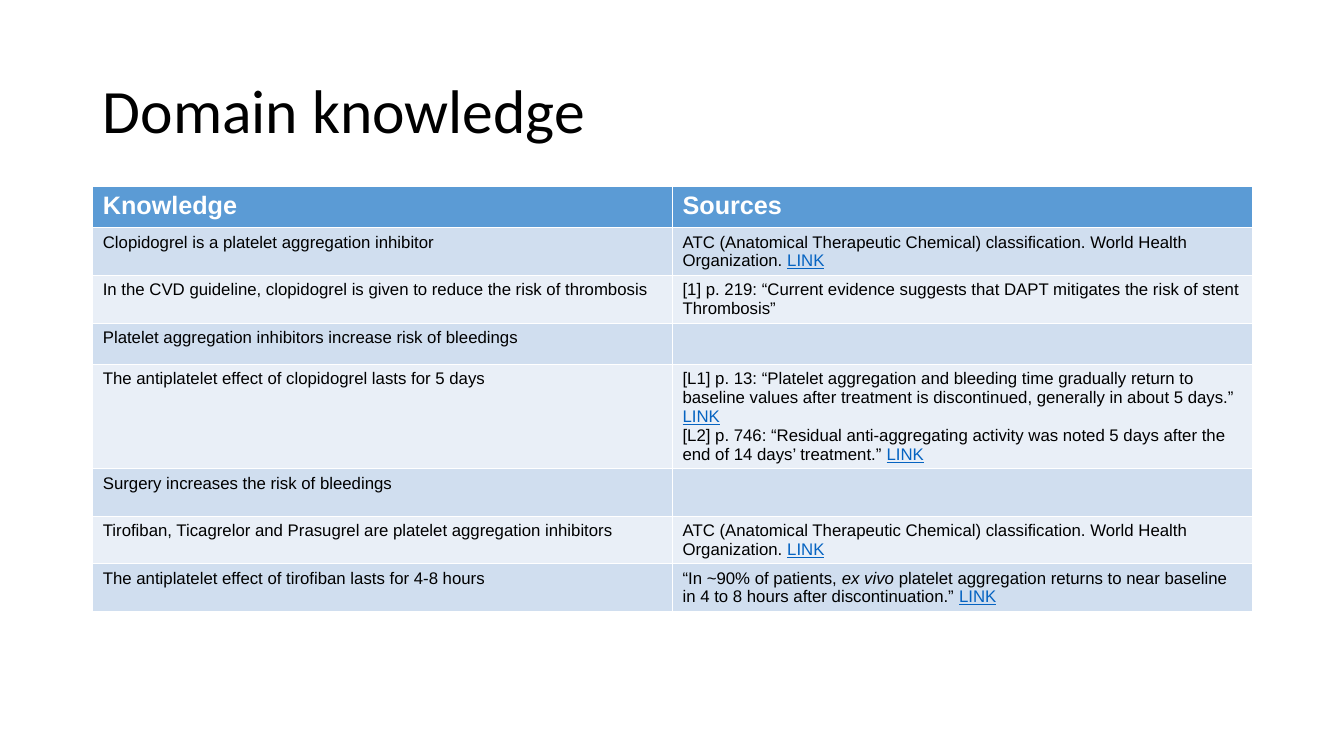
from pptx import Presentation
from pptx.dml.color import RGBColor
from pptx.enum.text import MSO_ANCHOR, PP_ALIGN
from pptx.util import Inches, Pt

MIDDLE = MSO_ANCHOR.MIDDLE
LEFT = PP_ALIGN.LEFT
BLACK = RGBColor(0x00, 0x00, 0x00)
WHITE = RGBColor(0xFF, 0xFF, 0xFF)
BLUE = RGBColor(0x5B, 0x9B, 0xD5)
BANDS = [RGBColor(0xE9, 0xEF, 0xF7), RGBColor(0xD0, 0xDE, 0xEF)]
LINK_BLUE = RGBColor(0x05, 0x63, 0xC1)

LINK = "LINK"
LATIN = "ex vivo"
ATC = [["ATC (Anatomical Therapeutic Chemical) classification. "
        "World Health Organization. ", LINK]]

FACTS = [
    ("Clopidogrel is a platelet aggregation inhibitor", ATC, 0.47),
    ("In the CVD guideline, clopidogrel is given to reduce the risk of thrombosis",
     [["[1] p. 219: “Current evidence suggests that DAPT mitigates the risk of stent"],
      ["Thrombosis”"]], 0.47),
    ("Platelet aggregation inhibitors increase risk of bleedings", [], 0.41),
    ("The antiplatelet effect of clopidogrel lasts for 5 days",
     [["[L1] p. 13: “Platelet aggregation and bleeding time gradually return to "
       "baseline values after treatment is discontinued, generally in about 5 days.” ",
       LINK],
      ["[L2] p. 746: “Residual anti-aggregating activity was noted 5 days after "
       "the end of 14 days’ treatment.” ", LINK]], 1.03),
    ("Surgery increases the risk of bleedings", [], 0.47),
    ("Tirofiban, Ticagrelor and Prasugrel are platelet aggregation inhibitors",
     ATC, 0.47),
    ("The antiplatelet effect of tirofiban lasts for 4-8 hours",
     [["“In ~90% of patients,\u00a0", LATIN,
       "\u00a0platelet aggregation returns to near baseline in 4 to 8 hours "
       "after discontinuation.” ", LINK]], 0.47),
]


def set_font(font, name, size, color, bold=False):
    font.name = name
    font.size = Pt(size)
    font.color.rgb = color
    font.bold = bold


def add_title(slide, text):
    title = slide.shapes.title
    title.left, title.top = Inches(0.92), Inches(0.4)
    title.width, title.height = Inches(11.5), Inches(1.45)
    frame = title.text_frame
    frame.text = text
    frame.vertical_anchor = MIDDLE
    para = frame.paragraphs[0]
    para.alignment = LEFT
    para.line_spacing = 0.9
    set_font(para.font, "Calibri", 44, BLACK)


def add_run(para, text):
    run = para.add_run()
    run.text = text
    if text == LINK:
        run.font.color.rgb = LINK_BLUE
        run.font.underline = True
    elif text == LATIN:
        run.font.italic = True


def fill_cell(cell, paras, fill, size=12, color=BLACK, bold=False):
    cell.fill.solid()
    cell.fill.fore_color.rgb = fill
    frame = cell.text_frame
    for i, runs in enumerate(paras):
        para = frame.add_paragraph() if i else frame.paragraphs[0]
        set_font(para.font, "Arial", size, color, bold)
        for text in runs:
            add_run(para, text)


def add_facts(slide):
    frame = slide.shapes.add_table(
        len(FACTS) + 1, 2, Inches(0.92), Inches(1.85), Inches(11.5), Inches(4.2))
    table = frame.table
    table.rows[0].height = Inches(0.41)
    for col, head in enumerate(["Knowledge", "Sources"]):
        fill_cell(table.cell(0, col), [[head]], BLUE, 18, WHITE, True)
    for row, (fact, source, height) in enumerate(FACTS, 1):
        table.rows[row].height = Inches(height)
        band = BANDS[row % 2]
        fill_cell(table.cell(row, 0), [[fact]], band)
        fill_cell(table.cell(row, 1), source, band)


def main():
    deck = Presentation()
    deck.slide_width, deck.slide_height = Inches(13.33), Inches(7.5)
    slide = deck.slides.add_slide(deck.slide_layouts[5])
    add_title(slide, "Domain knowledge")
    add_facts(slide)
    deck.save("out.pptx")


main()
